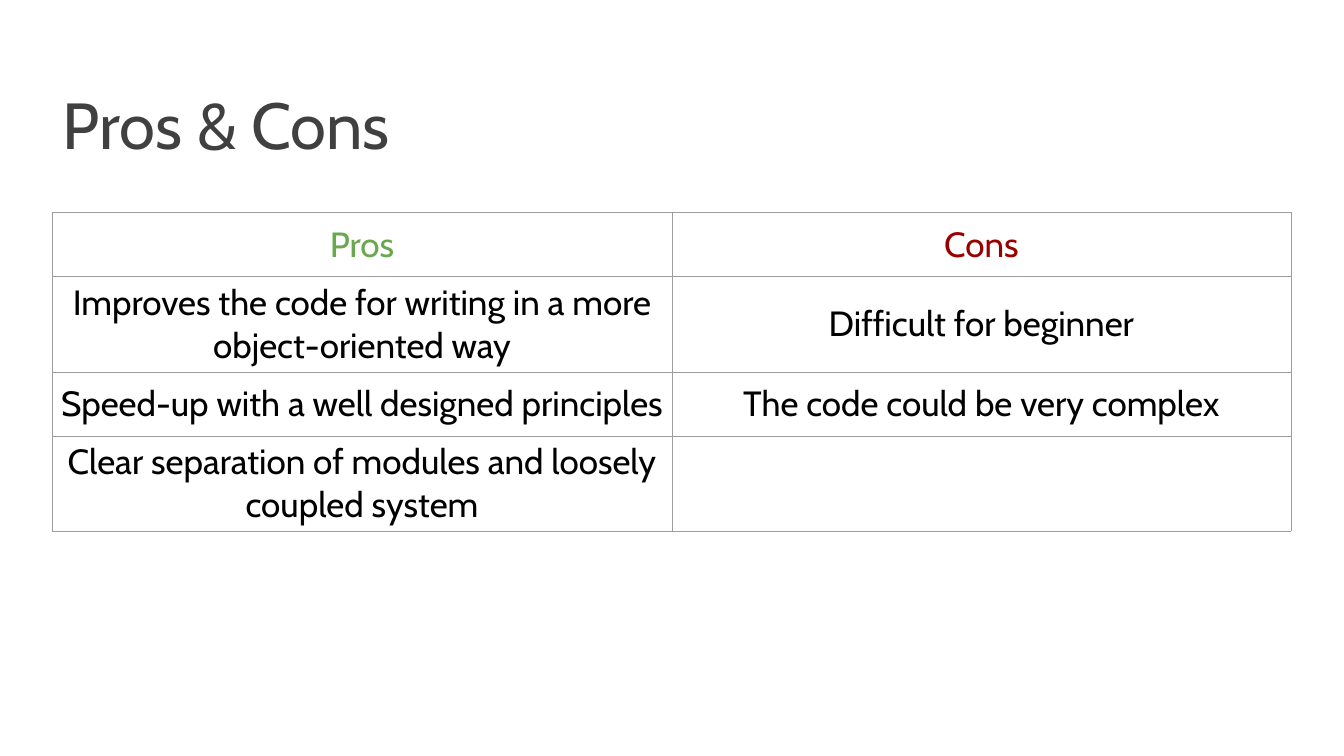
from lxml.etree import SubElement
from pptx import Presentation
from pptx.dml.color import RGBColor
from pptx.enum.text import MSO_ANCHOR, PP_ALIGN
from pptx.oxml.ns import qn
from pptx.util import Inches, Pt

GREY = RGBColor(0x40, 0x40, 0x40)
GREEN = RGBColor(0x6A, 0xA8, 0x4F)
RED = RGBColor(0x99, 0x00, 0x00)
BLACK = RGBColor(0x00, 0x00, 0x00)
BORDER = RGBColor(0x9E, 0x9E, 0x9E)

HEADINGS = [("Pros", GREEN), ("Cons", RED)]
POINTS = [
    ("Improves the code for writing in a more object-oriented way",
     "Difficult for beginner"),
    ("Speed-up with a well designed principles",
     "The code could be very complex"),
    ("Clear separation of modules and loosely coupled system", ""),
]


def write_text(frame, text, *, size, color, font, align):
    paragraph = frame.paragraphs[0]
    paragraph.alignment = align
    if text:
        span = paragraph.add_run()
        span.text = text
        span.font.name = font
        span.font.size = Pt(size)
        span.font.color.rgb = color


def set_margins(target, inches):
    target.margin_left = target.margin_right = Inches(inches)
    target.margin_top = target.margin_bottom = Inches(inches)


def add_borders(cell, color, width):
    properties = cell._tc.get_or_add_tcPr()
    for side in ("a:lnL", "a:lnR", "a:lnT", "a:lnB"):
        line = SubElement(properties, qn(side), w=str(Pt(width)))
        fill = SubElement(line, qn("a:solidFill"))
        SubElement(fill, qn("a:srgbClr"), val=str(color))


class SlideBuilder:
    def __init__(self, page, font="Cabin"):
        self.page = page
        self.font = font

    def title(self, text, left, top, width, height):
        box = self.page.shapes.title
        box.left, box.top = Inches(left), Inches(top)
        box.width, box.height = Inches(width), Inches(height)
        frame = box.text_frame
        frame.word_wrap = True
        frame.vertical_anchor = MSO_ANCHOR.TOP
        set_margins(frame, 0.27)
        write_text(frame, text, size=93, color=GREY, font=self.font,
                   align=PP_ALIGN.LEFT)

    def table(self, rows, left, top, column_width, row_height):
        """Draw rows of (text, color) cells with a thin border."""
        columns = len(rows[0])
        table = self.page.shapes.add_table(
            len(rows), columns, Inches(left), Inches(top),
            Inches(column_width * columns),
            Inches(row_height * len(rows))).table
        table.first_row = table.horz_banding = False
        for column in table.columns:
            column.width = Inches(column_width)
        for table_row, row in zip(table.rows, rows):
            table_row.height = Inches(row_height)
            for cell, (text, color) in zip(table_row.cells, row):
                self.cell(cell, text, color)

    def cell(self, cell, text, color):
        set_margins(cell, 0.1)
        cell.vertical_anchor = MSO_ANCHOR.MIDDLE
        add_borders(cell, BORDER, 0.75)
        cell.fill.background()
        write_text(cell.text_frame, text, size=50, color=color,
                   font=self.font, align=PP_ALIGN.CENTER)


def main():
    deck = Presentation()
    deck.slide_width, deck.slide_height = Inches(26.67), Inches(15)
    title_only = deck.slide_layouts[5]
    builder = SlideBuilder(deck.slides.add_slide(title_only))
    builder.title("Pros & Cons", 0.98, 1.41, 24.01, 2.11)
    points = [[(text, BLACK) for text in row] for row in POINTS]
    builder.table([HEADINGS, *points], 1.04, 4.22,
                  column_width=12.29, row_height=1.27)
    deck.save("out.pptx")


if __name__ == "__main__":
    main()
